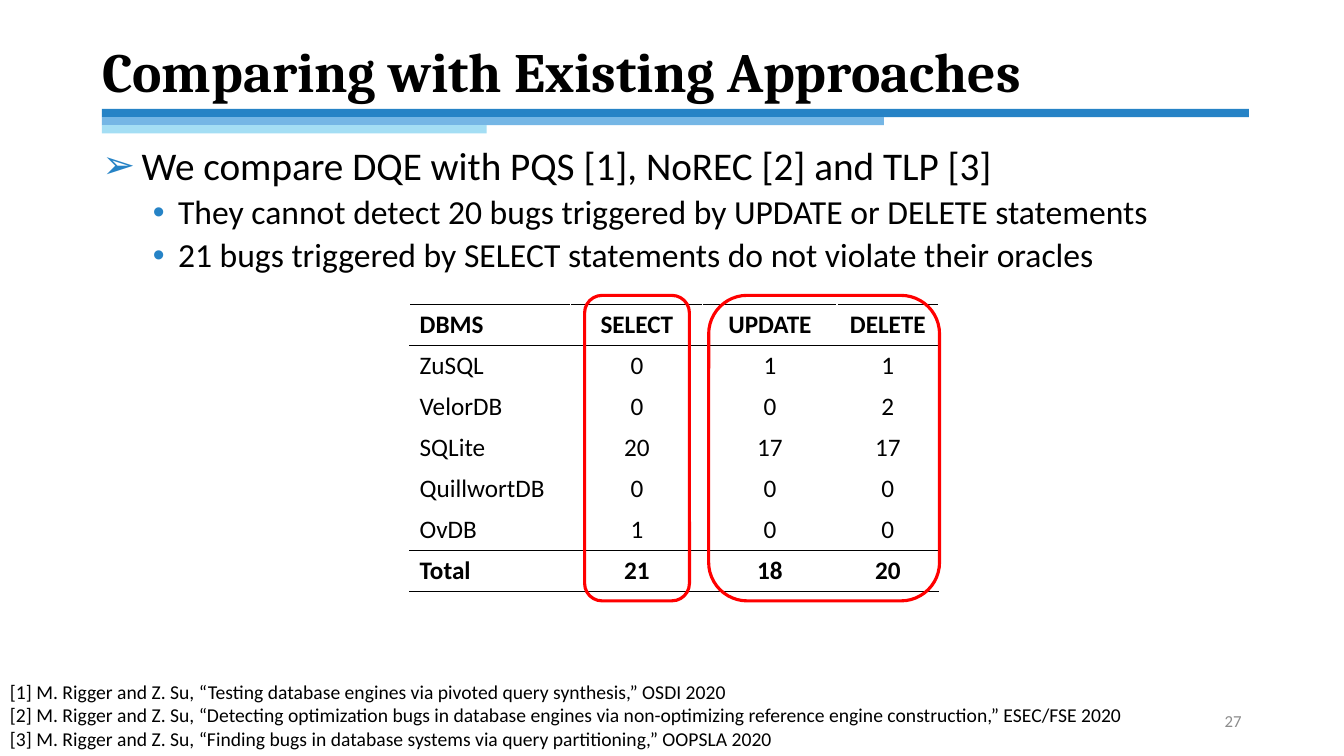
"""Build the slide that compares DQE with existing approaches."""
from lxml.etree import SubElement
from pptx import Presentation
from pptx.dml.color import RGBColor
from pptx.enum.shapes import MSO_SHAPE
from pptx.enum.text import MSO_ANCHOR, MSO_AUTO_SIZE, PP_ALIGN
from pptx.oxml.ns import qn
from pptx.util import Pt

TITLE = "Comparing with Existing Approaches"
POINTS = [
    (0, "We compare DQE with PQS [1], NoREC [2] and TLP [3]"),
    (1, "They cannot detect 20 bugs triggered by UPDATE or DELETE statements"),
    (1, "21 bugs triggered by SELECT statements do not violate their oracles"),
]
ROWS = [
    ("DBMS", "SELECT", "UPDATE", "DELETE"),
    ("ZuSQL", "0", "1", "1"),
    ("VelorDB", "0", "0", "2"),
    ("SQLite", "20", "17", "17"),
    ("QuillwortDB", "0", "0", "0"),
    ("OvDB", "1", "0", "0"),
    ("Total", "21", "18", "20"),
]
REFS = [
    "[1] M. Rigger and Z. Su, “Testing database engines via pivoted query synthesis,” OSDI 2020",
    "[2] M. Rigger and Z. Su, “Detecting optimization bugs in database engines via "
    "non-optimizing reference engine construction,” ESEC/FSE 2020",
    "[3] M. Rigger and Z. Su, “Finding bugs in database systems via query partitioning,” OOPSLA 2020",
]
PAGE = "27"
COLORS = {"black": "000000", "white": "FFFFFF", "grey": "8C8C8C", "red": "FF0000",
          "blue": "2683C6", "sky": "75B6E5", "pale": "A4DEF4"}
BARS = [("blue", 819.4), ("sky", 558.7), ("pale", 275)]
BAR_X, BAR_Y, BAR_H = 72.7, 77.8, 5.8
LEVELS = [("➢", 28, 28, 0), ("•", 24, 18, 5)]
INDENTS = [28, 54]
COLS = [115.2, 94.3, 95.8, 72.7]
GRID_X, GRID_Y, ROW_H = 292.6, 217.5, 29.3
RULES = {0, 1, len(ROWS) - 1, len(ROWS)}
MARKS = [(417.6, 74.9), (506.2, 164.9)]
MARK_Y, MARK_H = 211, 218.2


def color(name):
    return RGBColor.from_string(COLORS[name])


def write(para, text, size, tint="black", face="Calibri", bold=False):
    run = para.add_run()
    run.text = text
    font = run.font
    font.name, font.size, font.bold = face, Pt(size), bold
    font.color.rgb = color(tint)


def place(shape, x, y, w, h):
    shape.left, shape.top, shape.width, shape.height = Pt(x), Pt(y), Pt(w), Pt(h)
    frame = shape.text_frame
    frame.word_wrap = True
    frame.auto_size = MSO_AUTO_SIZE.NONE
    return frame


def bullet(para, level):
    mark, size, hang, before = LEVELS[level]
    para.level = level
    para.line_spacing = 0.9
    para.space_before = Pt(before)
    props = para._p.get_or_add_pPr()
    props.set("marL", str(Pt(INDENTS[level])))
    props.set("indent", str(-Pt(hang)))
    tint = SubElement(props, qn("a:buClr"))
    SubElement(tint, qn("a:srgbClr"), val=COLORS["blue"])
    SubElement(props, qn("a:buFont"), typeface="Arial")
    SubElement(props, qn("a:buChar"), char=mark)
    return size


def border(cell, row):
    props = cell._tc.get_or_add_tcPr()
    top = "black" if row in RULES else "white"
    low = "black" if row + 1 in RULES else "white"
    for side, tint in (("L", "white"), ("R", "white"), ("T", top), ("B", low)):
        line = SubElement(props, qn("a:ln" + side), w=str(Pt(1)))
        fill = SubElement(line, qn("a:solidFill"))
        SubElement(fill, qn("a:srgbClr"), val=COLORS[tint])


def add_grid(shapes):
    frame = shapes.add_table(len(ROWS), len(COLS), Pt(GRID_X), Pt(GRID_Y),
                             Pt(sum(COLS)), Pt(ROW_H * len(ROWS)))
    table = frame.table
    table.first_row = table.horz_banding = False
    for col, width in zip(table.columns, COLS):
        col.width = Pt(width)
    for r, row in enumerate(ROWS):
        table.rows[r].height = Pt(ROW_H)
        for c, text in enumerate(row):
            cell = table.cell(r, c)
            border(cell, r)
            cell.fill.background()
            para = cell.text_frame.paragraphs[0]
            para.alignment = PP_ALIGN.CENTER if c else PP_ALIGN.LEFT
            write(para, text, 18, bold=r in (0, len(ROWS) - 1))


def main():
    deck = Presentation()
    deck.slide_width, deck.slide_height = Pt(960), Pt(540)
    slide = deck.slides.add_slide(deck.slide_layouts[1])
    shapes = slide.shapes

    for i, (tint, width) in enumerate(BARS):
        bar = shapes.add_shape(MSO_SHAPE.RECTANGLE, Pt(BAR_X), Pt(BAR_Y + i * BAR_H),
                               Pt(width), Pt(BAR_H))
        bar.shadow.inherit = False
        bar.fill.solid()
        bar.fill.fore_color.rgb = color(tint)
        bar.line.fill.background()

    head = place(shapes.title, 66, 28.8, 828, 49)
    head.vertical_anchor = MSO_ANCHOR.MIDDLE
    para = head.paragraphs[0]
    para.alignment = PP_ALIGN.LEFT
    para.line_spacing = 0.9
    write(para, TITLE, 39.6, face="Cambria", bold=True)

    body = place(slide.placeholders[1], 66, 100.8, 828, 100)
    for i, (level, text) in enumerate(POINTS):
        para = body.add_paragraph() if i else body.paragraphs[0]
        write(para, text, bullet(para, level))

    page = place(shapes.add_textbox(0, 0, 0, 0), 678, 500.5, 216, 28.8)
    page.vertical_anchor = MSO_ANCHOR.MIDDLE
    page.paragraphs[0].alignment = PP_ALIGN.RIGHT
    write(page.paragraphs[0], PAGE, 12, "grey")

    notes = place(shapes.add_textbox(0, 0, 0, 0), 0, 481.8, 818.6, 58.2)
    for i, text in enumerate(REFS):
        para = notes.add_paragraph() if i else notes.paragraphs[0]
        write(para, text, 14)

    add_grid(shapes)
    for x, width in MARKS:
        mark = shapes.add_shape(MSO_SHAPE.ROUNDED_RECTANGLE, Pt(x), Pt(MARK_Y),
                                Pt(width), Pt(MARK_H))
        mark.shadow.inherit = False
        mark.fill.background()
        mark.line.color.rgb = color("red")
        mark.line.width = Pt(2.25)

    deck.save("out.pptx")


if __name__ == "__main__":
    main()
